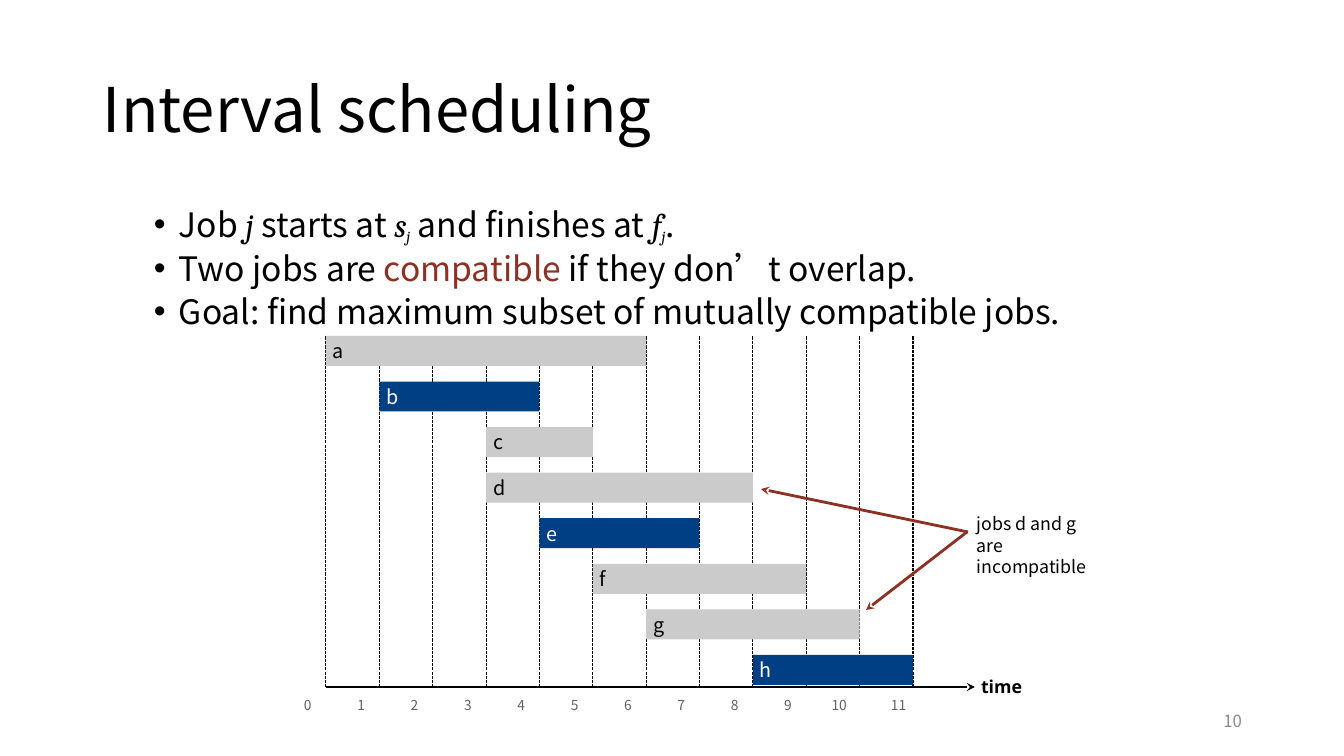
from lxml import etree
from pptx import Presentation
from pptx.dml.color import RGBColor
from pptx.enum.dml import MSO_LINE
from pptx.enum.shapes import MSO_CONNECTOR, MSO_SHAPE
from pptx.enum.text import MSO_ANCHOR, PP_ALIGN
from pptx.oxml.ns import qn
from pptx.util import Emu, Pt

STRAIGHT, RECT = MSO_CONNECTOR.STRAIGHT, MSO_SHAPE.RECTANGLE
TOP, MIDDLE = MSO_ANCHOR.TOP, MSO_ANCHOR.MIDDLE
LEFT, RIGHT = PP_ALIGN.LEFT, PP_ALIGN.RIGHT
DOTTED = MSO_LINE.SQUARE_DOT

COLORS = {"black": "000000", "white": "FFFFFF", "gray": "CBCBCB", "blue": "003F83",
          "red": "8D3124", "tick": "606060", "number": "8C8C8C"}
SANS, MATH = "Noto Sans CJK SC", "Cambria"

TITLE = "Interval scheduling"
BULLETS = [
    [("Job ", "plain"), ("j", "math"), (" starts at ", "plain"), ("s", "math"), ("j", "sub"),
     (" and finishes at ", "plain"), ("f", "math"), ("j", "sub"), (".", "plain")],
    [("Two jobs are ", "plain"), ("compatible ", "accent"), ("if they don’t overlap.", "plain")],
    [("Goal: find maximum subset of mutually compatible jobs.", "plain")],
]
JOBS = [("a", 0, 6, "gray"), ("b", 1, 4, "blue"), ("c", 3, 5, "gray"), ("d", 3, 8, "gray"),
        ("e", 4, 7, "blue"), ("f", 5, 9, "gray"), ("g", 6, 10, "gray"), ("h", 8, 11, "blue")]
NOTE = ["jobs d and g", "are incompatible"]
ARROWS = [((967, 532), (866, 610)), ((968, 532), (761, 489))]

STYLES = {
    "title": {"size": 44},
    "plain": {"size": 24},
    "accent": {"size": 24, "color": "red"},
    "math": {"size": 24, "name": MATH, "italic": True},
    "sub": {"size": 19.7, "name": MATH, "italic": True},
    "number": {"size": 12, "color": "number"},
    "time": {"size": 12.7, "name": "Open Sans", "bold": True},
    "tick": {"size": 9.8, "color": "tick"},
    "gray": {"size": 14.1},
    "blue": {"size": 14.1, "color": "white"},
    "note": {"size": 12.7},
}

PX = 914400 / 100.8
AXIS_X, AXIS_Y, AXIS_END = 326, 687, 975
HOURS, HOUR_W = 11, 587 / 11
CHART_TOP, BAR_H = 336, 30
ROW_H = (AXIS_Y - 2 - BAR_H - CHART_TOP) / (len(JOBS) - 1)
TICK_SHIFT = {10: -6}


def px(n):
    return Emu(round(n * PX))


def rgb(name):
    return RGBColor.from_string(COLORS[name])


def add_run(p, text, style):
    fmt = {"name": SANS, "color": "black", **STYLES[style]}
    r = p.add_run()
    r.text = text
    r.font.color.rgb = rgb(fmt.pop("color"))
    fmt["size"] = Pt(fmt["size"])
    for key, value in fmt.items():
        setattr(r.font, key, value)
    if style == "sub":
        r.font._element.set("baseline", "-20000")


def write(sp, paragraphs, inset=(0, 0), anchor=TOP, align=LEFT, spacing=None):
    tf = sp.text_frame
    tf.word_wrap = True
    tf.vertical_anchor = anchor
    tf.margin_left = tf.margin_right = px(inset[0])
    tf.margin_top = tf.margin_bottom = px(inset[1])
    for i, runs in enumerate(paragraphs):
        p = tf.paragraphs[0] if i == 0 else tf.add_paragraph()
        p.alignment = align
        p.line_spacing = spacing
        for text, style in runs:
            add_run(p, text, style)
    return tf


def add_text(s, box, paragraphs, **layout):
    return write(s.shapes.add_textbox(*map(px, box)), paragraphs, **layout)


def add_line(s, start, end, color, width, dash=None, arrow=False):
    c = s.shapes.add_connector(STRAIGHT, *map(px, start + end))
    c.line.color.rgb = rgb(color)
    c.line.width = Pt(width)
    if dash:
        c.line.dash_style = dash
    if arrow:
        etree.SubElement(c.line._get_or_add_ln(), qn("a:tailEnd"), type="stealth")
    etree.SubElement(c._element.spPr, qn("a:effectLst"))


def add_heading(s):
    add_text(s, (93, 40, 1159, 146), [[(TITLE, "title")]], inset=(10, 5), anchor=MIDDLE, spacing=0.9)
    tf = add_text(s, (93, 202, 1159, 480), BULLETS, inset=(10, 5), spacing=0.9)
    for i, p in enumerate(tf.paragraphs):
        if i:
            p.space_before = Pt(5)
        pPr = p._p.get_or_add_pPr()
        pPr.set("marL", str(px(76)))
        pPr.set("indent", str(px(-25)))
        etree.SubElement(pPr, qn("a:buFont"), typeface="Arial")
        etree.SubElement(pPr, qn("a:buChar"), char="•")
    add_text(s, (950, 701, 302, 40), [[("10", "number")]], inset=(10, 5), anchor=MIDDLE, align=RIGHT)


def add_schedule(s):
    add_line(s, (AXIS_X, AXIS_Y), (AXIS_END, AXIS_Y), "black", 1.5, arrow=True)
    add_text(s, (981, 676, 86, 21), [[("time", "time")]])
    for hour in range(HOURS + 1):
        x = AXIS_X + hour * HOUR_W
        add_line(s, (x, AXIS_Y), (x, CHART_TOP), "black", 0.75, dash=DOTTED)
        add_text(s, (x - 22 + TICK_SHIFT.get(hour, 0), 697, 47, 17), [[(str(hour), "tick")]])
    for row, (name, start, finish, color) in enumerate(JOBS):
        box = (AXIS_X + start * HOUR_W, CHART_TOP + row * ROW_H, (finish - start) * HOUR_W, BAR_H)
        sp = s.shapes.add_shape(RECT, *map(px, box))
        sp.shadow.inherit = False
        sp.fill.solid()
        sp.fill.fore_color.rgb = rgb(color)
        sp.line.fill.background()
        write(sp, [[(name, color)]], inset=(7, 0), anchor=MIDDLE)


def add_note(s):
    add_text(s, (977, 513, 129, 64), [[(line, "note")] for line in NOTE])
    for start, end in ARROWS:
        add_line(s, start, end, "red", 2, arrow=True)


def main():
    prs = Presentation()
    prs.slide_width, prs.slide_height = px(1344), px(756)
    s = prs.slides.add_slide(prs.slide_layouts[6])
    add_heading(s)
    add_schedule(s)
    add_note(s)
    prs.save("out.pptx")


if __name__ == "__main__":
    main()
